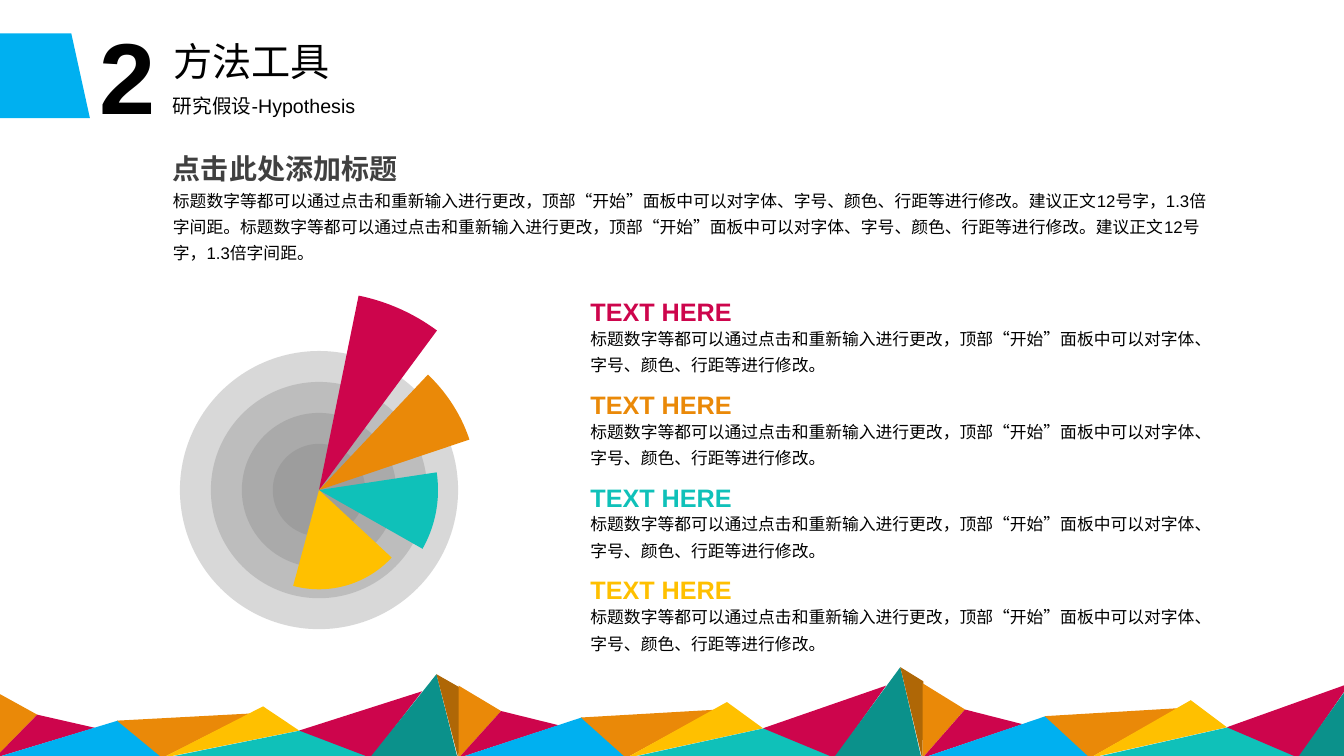
from lxml import etree
from pptx import Presentation
from pptx.dml.color import RGBColor
from pptx.enum.shapes import MSO_SHAPE
from pptx.enum.text import MSO_ANCHOR, MSO_AUTO_SIZE, PP_ALIGN
from pptx.oxml.ns import qn
from pptx.util import Cm, Pt

MAGENTA, ORANGE, TEAL, YELLOW = "CD054C", "EA8908", "0FC1B9", "FFC000"
BLUE, DARK_TEAL, BROWN, GREY = "00B0F0", "0B918B", "AF6706", "808080"


def paint(shape, color):
    shape.shadow.inherit = False
    shape.fill.solid()
    shape.fill.fore_color.rgb = RGBColor.from_string(color)
    shape.line.fill.background()


def write(box, text, size, color="000000", bold=False, spacing=1.0):
    frame = box.text_frame
    frame.text = text
    frame.word_wrap = True
    frame.auto_size = MSO_AUTO_SIZE.NONE
    frame.vertical_anchor = MSO_ANCHOR.TOP
    paragraph = frame.paragraphs[0]
    paragraph.alignment = PP_ALIGN.LEFT
    paragraph.line_spacing = spacing
    font = paragraph.runs[0].font
    font.name, font.size, font.bold = "Arial", Pt(size), bold
    font.color.rgb = RGBColor.from_string(color)


prs = Presentation()
prs.slide_width, prs.slide_height = Cm(33.87), Cm(19.05)
slide = prs.slides.add_slide(prs.slide_layouts[5])
shapes = slide.shapes

# Mountain range: one range of triangles (x, height), repeated and growing taller
period, baseline = 11.69, 19.1
growth = [1, 1.085, 1.12]
triangles = [
    (ORANGE, [(-0.13, 0), (-0.13, 1.68), (0.94, 1.09)]),
    (MAGENTA, [(-0.13, 0), (0.94, 1.09), (2.39, 0.76)]),
    (BLUE, [(-0.13, 0), (2.97, 0.94), (4.14, 0)]),
    (ORANGE, [(2.95, 0.94), (6.32, 1.12), (4.09, 0)]),
    (YELLOW, [(7.54, 0.69), (4.09, 0), (6.63, 1.3)]),
    (TEAL, [(9.4, 0), (4.14, 0), (7.57, 0.69)]),
    (MAGENTA, [(9.35, 0), (7.54, 0.69), (10.64, 1.68)]),
    (DARK_TEAL, [(11.53, 0), (9.32, 0), (11, 2.11)]),
    (BROWN, [(11.58, 1.78), (11.56, -0.05), (11, 2.11)]),
]
for index, factor in enumerate(growth):
    for color, corners in triangles:
        points = [(Cm(x + index * period), Cm(baseline - height * factor))
                  for x, height in corners]
        if min(x for x, y in points) >= prs.slide_width:
            continue  # this triangle would lie beyond the right edge
        outline = shapes.build_freeform(*points[0])
        outline.add_line_segments(points[1:], close=True)
        paint(outline.convert_to_shape(), color)

# Header: slanted tab, section number, title and subtitle
tab = shapes.add_shape(MSO_SHAPE.FLOWCHART_MANUAL_INPUT,
                       Cm(0.03), Cm(0.74), Cm(2.13), Cm(2.34))
tab.rotation = 90
paint(tab, BLUE)

number = shapes.add_textbox(Cm(2.26), Cm(0.23), Cm(3.71), Cm(3.33))
write(number, "2", 72, bold=True)

title = shapes.title
title.left, title.top, title.width, title.height = Cm(4.11), Cm(0.81), Cm(4.8), Cm(1.45)
write(title, "方法工具", 28)

subtitle = shapes.add_textbox(Cm(4.11), Cm(2.24), Cm(7.57), Cm(0.86))
write(subtitle, "研究假设-Hypothesis", 14)

# Translucent rings around a common centre
center_x, center_y = 8.04, 12.35
for index in range(4):
    size = 7.01 - 1.56 * index
    ring = shapes.add_shape(MSO_SHAPE.OVAL, Cm(center_x - size / 2),
                            Cm(center_y - size / 2), Cm(size), Cm(size))
    paint(ring, GREY)
    ring_color = ring.fill._xPr.find(qn("a:solidFill"))[0]
    etree.SubElement(ring_color, qn("a:alpha")).set("val", "30000")

# Wedges: colour, diameter, start and end angle in degrees
wedges = [
    (MAGENTA, 10, 281.52, 306.49),
    (ORANGE, 8, 313.35, 341.45),
    (TEAL, 6, 351.45, 29.55),
    (YELLOW, 5, 42.89, 105.07),
]
for color, size, start, end in wedges:
    wedge = shapes.add_shape(MSO_SHAPE.PIE, Cm(center_x - size / 2),
                             Cm(center_y - size / 2), Cm(size), Cm(size))
    # Angles are stored in 60000ths, adjustments in 100000ths
    wedge.adjustments[0] = start * 0.6
    wedge.adjustments[1] = end * 0.6
    paint(wedge, color)

# Introduction
detail = "标题数字等都可以通过点击和重新输入进行更改，顶部“开始”面板中可以对字体、字号、颜色、行距等进行修改。"
advice = "建议正文12号字，1.3倍字间距。"
introduction = shapes.add_textbox(Cm(4.11), Cm(4.52), Cm(26.62), Cm(2.26))
write(introduction, (detail + advice) * 2, 12, spacing=1.3)

heading = shapes.add_textbox(Cm(4.11), Cm(3.28), Cm(8), Cm(1.55))
write(heading, "点击此处添加标题", 20, "404040", bold=True, spacing=1.5)

# One explanation per wedge
for index, (color, *_) in enumerate(wedges):
    top = 7.34 + 2.34 * index
    explanation = shapes.add_textbox(Cm(14.63), Cm(top + 0.66), Cm(16.1), Cm(2.26))
    write(explanation, detail, 12, spacing=1.3)
    label = shapes.add_textbox(Cm(14.63), Cm(top), Cm(5), Cm(1.02))
    write(label, "TEXT HERE", 18, color, bold=True)

prs.save("out.pptx")
